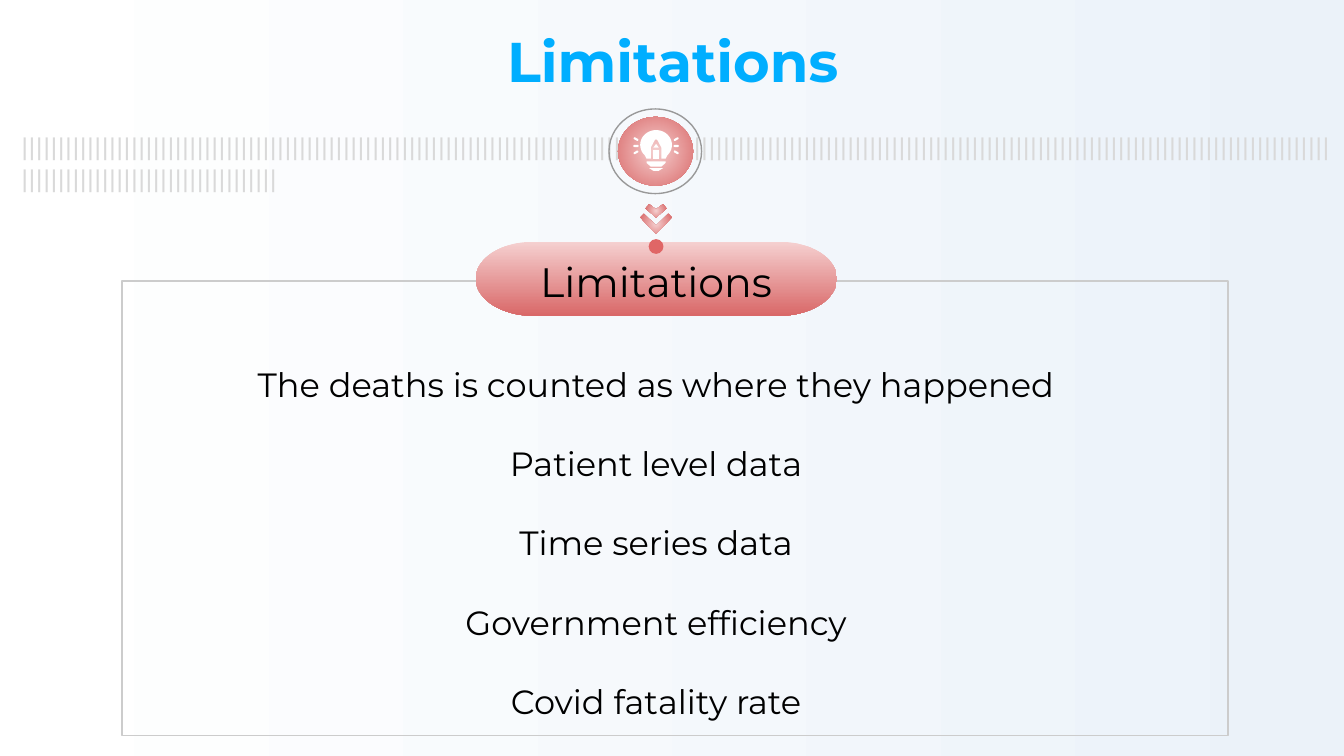
from math import cos, radians, sin

from lxml import etree
from pptx import Presentation
from pptx.dml.color import RGBColor
from pptx.enum.shapes import MSO_SHAPE
from pptx.enum.text import MSO_ANCHOR, PP_ALIGN
from pptx.oxml import parse_xml
from pptx.oxml.ns import qn
from pptx.util import Cm, Pt

RECT, OVAL = MSO_SHAPE.RECTANGLE, MSO_SHAPE.OVAL
ROUND, PILL = MSO_SHAPE.ROUNDED_RECTANGLE, MSO_SHAPE.FLOWCHART_TERMINATOR
TOP, MID, LEFT = MSO_ANCHOR.TOP, PP_ALIGN.CENTER, PP_ALIGN.LEFT

HEAD = "Limitations"
POINTS = [
    "The deaths is counted as where they happened",
    "Patient level data",
    "Time series data",
    "Government efficiency",
    "Covid fatality rate",
]
BARS = "|" * 214
PINK = ("F5D0D0", "D96868")
SKY = ("FFFFFF", "EBF2F9")
WHITE = "FFFFFF"
AXIS = 12.4

TITLE = {"name": "Montserrat", "size": Pt(30), "bold": True}
LABEL = {"name": "Montserrat", "size": Pt(22)}
BODY = {"name": "Montserrat", "size": Pt(18)}
TICKS = {"name": "Karla", "size": Pt(14)}

BULB = [(0.3 * cos(radians(a)), 2.74 + 0.28 * sin(radians(a)))
        for a in range(-90, 46, 9)]
ICON = [
    BULB + [(0.18, 3), (0.1, 3), (0.1, 2.79), (0.02, 2.64)],
    [(0, 2.72), (0.05, 2.79)],
    [(0.05, 2.84), (0.05, 3)],
    [(0.18, 3.05), (0.18, 3.08), (0.1, 3.15)],
    [(0.13, 3.18), (0.05, 3.23)],
]
ARROWS = [
    [(0, 4.27), (0.23, 4.04), (0.3, 4.11), (0, 4.42)],
    [(0, 3.96), (0.13, 3.86), (0.2, 3.94), (0, 4.11)],
]
RAYS = [(2.63, -30), (2.76, 0), (2.88, 30)]


def hue(text):
    return RGBColor.from_string(text)


def blend(fill, pair, angle=0):
    fill.gradient()
    fill.gradient_angle = angle
    for stop, tone in zip(fill.gradient_stops, pair):
        stop.color.rgb = hue(tone)


def glow(shape):
    blend(shape.fill, PINK)
    grad = shape._element.spPr.find(qn("a:gradFill"))
    grad.replace(grad.find(qn("a:lin")), parse_xml(
        '<a:path xmlns:a="http://schemas.openxmlformats.org/drawingml/2006/main"'
        ' path="circle"><a:fillToRect l="50000" t="50000" r="50000" b="50000"/>'
        '</a:path>'))


def plain(shape, fill=None, line=None):
    shape.shadow.inherit = False
    if fill:
        shape.fill.solid()
        shape.fill.fore_color.rgb = hue(fill)
    else:
        shape.fill.background()
    if line:
        shape.line.color.rgb = hue(line)
        shape.line.width = Pt(0.75)
    else:
        shape.line.fill.background()
    return shape


def add(pool, kind, box, fill=None, line=None):
    return plain(pool.add_shape(kind, *map(Cm, box)), fill, line)


def mirror(pool, half, fill=None):
    pts = half + [(-x, y) for x, y in reversed(half)]
    pts = [(Cm(AXIS + x), Cm(y)) for x, y in pts]
    form = pool.build_freeform(*pts[0])
    form.add_line_segments(pts[1:], close=True)
    return plain(form.convert_to_shape(), fill)


def write(shape, box, lines, style, tone, align=MID, **gaps):
    shape.left, shape.top, shape.width, shape.height = map(Cm, box)
    frame = shape.text_frame
    frame.word_wrap, frame.vertical_anchor = True, TOP
    for side in ("left", "top", "right", "bottom"):
        setattr(frame, "margin_" + side, Cm(0.25))
    frame.text = "\n".join(lines)
    for i, para in enumerate(frame.paragraphs):
        props = para._p.get_or_add_pPr()
        props.set("marL", "0")
        props.set("indent", "0")
        etree.SubElement(props, qn("a:buNone"))
        para.alignment = align
        para.space_before = Pt(0)
        for key, val in gaps.items():
            if i or key != "space_before":
                setattr(para, key, val)
        for run in para.runs:
            for key, val in style.items():
                setattr(run.font, key, val)
            run.font.color.rgb = hue(tone)


def main():
    deck = Presentation()
    deck.slide_width, deck.slide_height = Cm(25.4), Cm(14.29)
    slide = deck.slides.add_slide(deck.slide_layouts[1])
    blend(slide.background.fill, SKY)
    pool = slide.shapes
    title, body = slide.placeholders

    add(pool, RECT, (2.31, 5.31, 20.9, 8.59), line="CCCCCC")
    write(pool.add_textbox(0, 0, 0, 0), (0.15, 2.24, 25.4, 1.12),
          [BARS], TICKS, "D9D9D9", LEFT)
    write(title, (4.65, 0.25, 16.13, 1.6), [HEAD], TITLE, "00AEFF")

    badge = pool.add_group_shape().shapes
    glow(add(badge, OVAL, (11.68, 2.21, 1.42, 1.3)))
    add(badge, OVAL, (11.51, 2.06, 1.75, 1.6), line="999999")
    for side in (-1, 1):
        for y, turn in RAYS:
            ray = add(badge, ROUND,
                      (AXIS + side * 0.38 - 0.05, y - 0.02, 0.1, 0.04), WHITE)
            ray.adjustments[0] = 0.5
            ray.rotation = side * turn
    for half in ICON:
        mirror(badge, half, WHITE)

    arrows = pool.add_group_shape().shapes
    for half in ARROWS:
        glow(mirror(arrows, half))

    pill = add(pool, PILL, (8.99, 4.57, 6.83, 1.4))
    blend(pill.fill, PINK, 270)
    add(pool, OVAL, (AXIS - 0.14, 4.52, 0.28, 0.28), "E06666")
    write(pool.add_textbox(0, 0, 0, 0), (9.53, 4.6, 5.74, 1.45),
          [HEAD], LABEL, "000000")
    write(body, (3.33, 6.25, 18.14, 7.32), POINTS, BODY, "000000",
          line_spacing=1.5, space_before=Pt(10))
    deck.save("out.pptx")


if __name__ == "__main__":
    main()
